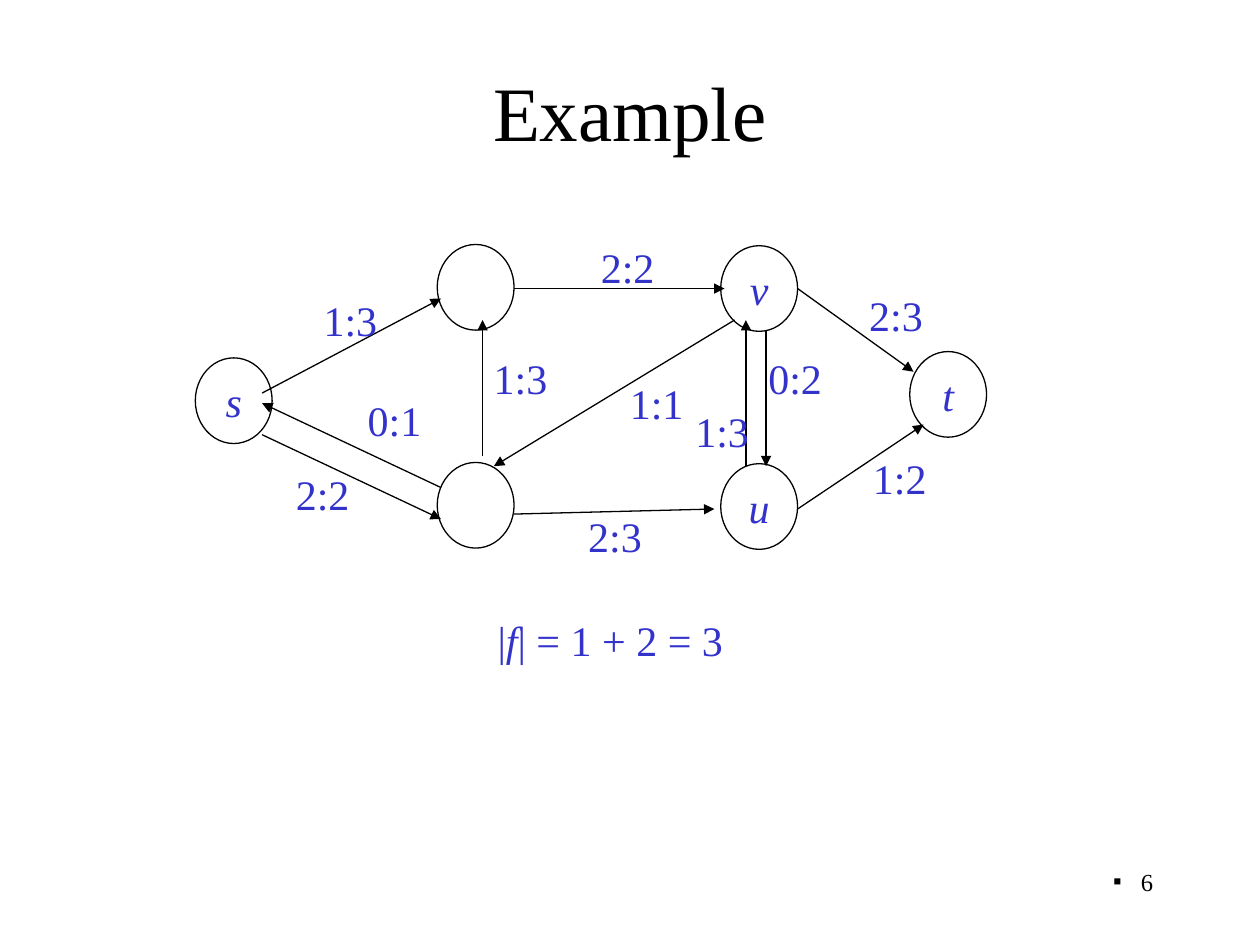
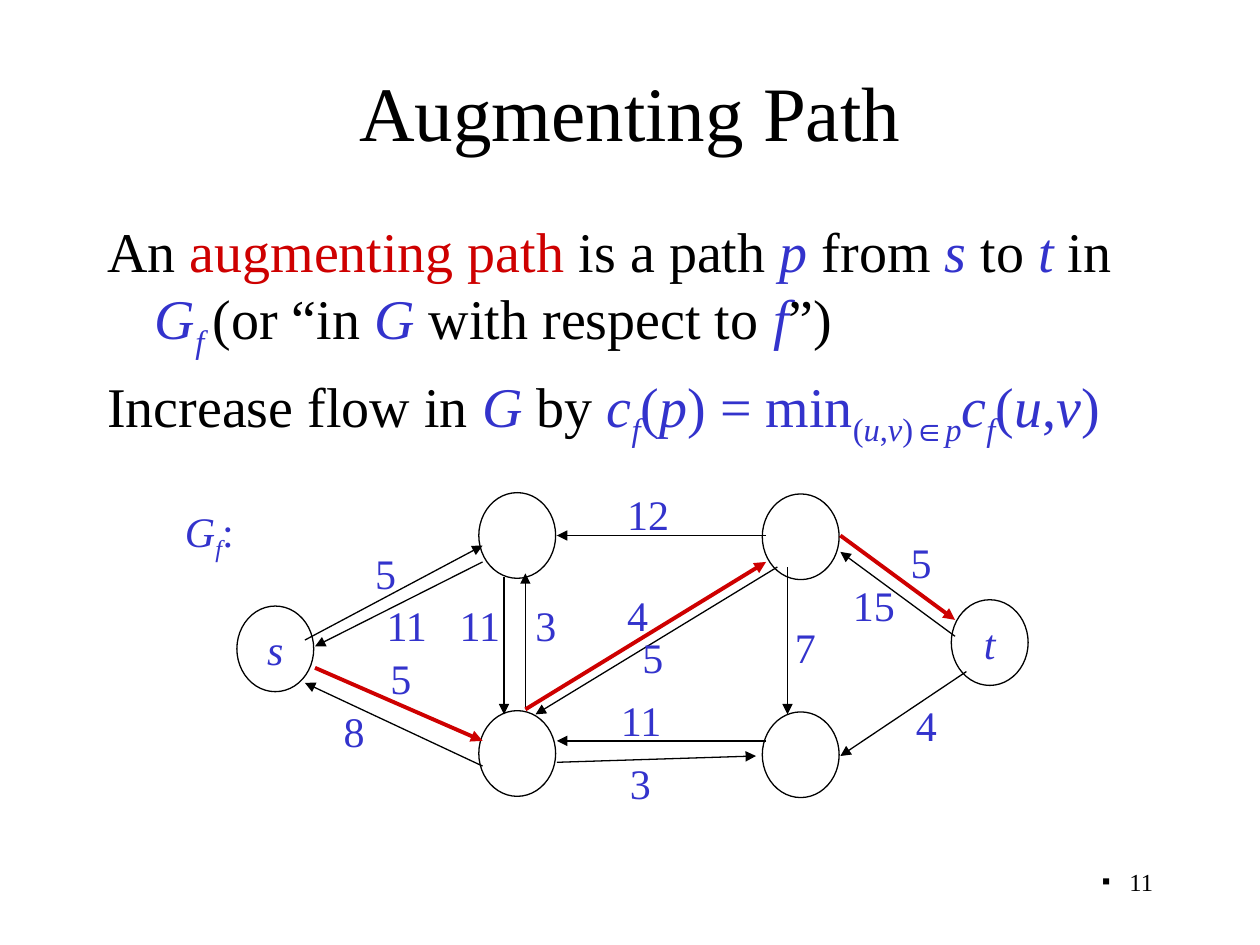
from dataclasses import dataclass

from lxml.etree import SubElement
from pptx import Presentation
from pptx.dml.color import RGBColor
from pptx.enum.shapes import MSO_CONNECTOR as CONN, MSO_SHAPE as SHAPE
from pptx.enum.text import MSO_ANCHOR as ANCHOR, MSO_AUTO_SIZE as AUTO, PP_ALIGN as ALIGN
from pptx.oxml.ns import qn
from pptx.util import Inches, Pt

FONT = "Times New Roman"
BLACK, BLUE, RED = "000000", "3333CC", "CE0000"
TITLE_ONLY, TITLE_AND_BODY = 5, 1
NODE_W, NODE_H = 0.61, 0.68
# Both slides show the same network, moved by a fixed offset.
NODE_PLACES = {
    "source": (1.55, 2.84),
    "top left": (3.47, 1.94),
    "bottom left": (3.47, 3.67),
    "top right": (5.72, 1.95),
    "bottom right": (5.72, 3.68),
    "sink": (7.22, 2.79),
}


@dataclass
class Run:
    text: str
    color: str = BLACK
    italic: bool = False
    sub: bool = False


@dataclass
class Edge:
    x1: float
    y1: float
    x2: float
    y2: float
    on_path: bool = False


@dataclass
class Label:
    x: float
    y: float
    text: str


def var(text: str, sub: bool = False) -> Run:
    """A variable, in blue italics."""
    return Run(text, BLUE, True, sub)


def sym(text: str, sub: bool = False) -> Run:
    """The upright part of a formula, in blue."""
    return Run(text, BLUE, False, sub)


def rgb(color: str) -> RGBColor:
    return RGBColor.from_string(color)


def add_text(p, text: str, *, size: float, color: str = BLACK,
             italic: bool = False, sub: bool = False) -> None:
    r = p.add_run()
    r.text = text
    r.font.name, r.font.size = FONT, Pt(size)
    r.font.color.rgb = rgb(color)
    r.font.italic = italic
    if sub:
        r.font._element.set("baseline", "-25000")


def add_runs(p, runs: list[Run], size: float) -> None:
    for run in runs:
        add_text(p, run.text, size=size, color=run.color, italic=run.italic, sub=run.sub)


def set_bullet(p, left: float, hanging: float, char: str = "") -> None:
    """Set the indents, and the bullet character if there is one."""
    pPr = p._p.get_or_add_pPr()
    pPr.set("marL", str(Inches(left)))
    pPr.set("indent", str(Inches(-hanging)))
    if char:
        SubElement(pPr, qn("a:buFont"), typeface=FONT)
        SubElement(pPr, qn("a:buChar"), char=char)
    else:
        SubElement(pPr, qn("a:buNone"))


def place(sp, x: float, y: float, w: float, h: float) -> None:
    sp.left, sp.top, sp.width, sp.height = (Inches(v) for v in (x, y, w, h))


def add_box(s, x: float, y: float, w: float, wrap: bool = False):
    """Add a text box one line high and return its paragraph."""
    tf = s.shapes.add_textbox(Inches(x), Inches(y), Inches(w), Inches(0.5)).text_frame
    tf.word_wrap = wrap
    return tf.paragraphs[0]


def new_slide(prs, layout: int, title: str, number: int):
    s = prs.slides.add_slide(prs.slide_layouts[layout])
    place(s.shapes.title, 0.75, 0.25, 8.5, 1.25)
    tf = s.shapes.title.text_frame
    tf.vertical_anchor = ANCHOR.MIDDLE
    tf.paragraphs[0].alignment = ALIGN.CENTER
    add_text(tf.paragraphs[0], title, size=44)

    p = add_box(s, 7.17, 6.83, 2.08, wrap=True)
    p.alignment = ALIGN.RIGHT
    set_bullet(p, 0.22, 0.22, "▪")
    add_text(p, str(number), size=14)
    return s


def add_body(s, paragraphs: list[list[Run]]) -> None:
    body = s.placeholders[1]
    place(body, 0.75, 1.67, 8.5, 5)
    tf = body.text_frame
    tf.auto_size = AUTO.NONE
    for i, runs in enumerate(paragraphs):
        p = tf.paragraphs[0] if i == 0 else tf.add_paragraph()
        set_bullet(p, 0.38, 0.38)
        add_runs(p, runs, 32)


def add_nodes(s, names: dict[str, str], dx: float = 0, dy: float = 0) -> None:
    for key, (x, y) in NODE_PLACES.items():
        sp = s.shapes.add_shape(SHAPE.OVAL, Inches(x + dx), Inches(y + dy),
                                Inches(NODE_W), Inches(NODE_H))
        sp.shadow.inherit = False
        sp.fill.background()
        sp.line.color.rgb, sp.line.width = rgb(BLACK), Pt(0.75)
        if key in names:
            tf = sp.text_frame
            tf.word_wrap = False
            tf.vertical_anchor = ANCHOR.MIDDLE
            tf.paragraphs[0].alignment = ALIGN.CENTER
            add_runs(tf.paragraphs[0], [var(names[key])], 24)


def add_edge(s, e: Edge) -> None:
    c = s.shapes.add_connector(CONN.STRAIGHT, Inches(e.x1), Inches(e.y1),
                               Inches(e.x2), Inches(e.y2))
    c.line.color.rgb = rgb(RED if e.on_path else BLACK)
    c.line.width = Pt(2.25 if e.on_path else 0.75)
    spPr = c.element.spPr
    SubElement(spPr.find(qn("a:ln")), qn("a:tailEnd"), type="triangle")
    SubElement(spPr, qn("a:effectLst"))


def add_label(s, label: Label) -> None:
    width = 0.2 + sum(0.09 if ch == ":" else 0.17 for ch in label.text)
    add_runs(add_box(s, label.x, label.y, width), [sym(label.text)], 24)


def add_edges(s, edges: list[Edge], labels: list[Label]) -> None:
    for edge in edges:
        add_edge(s, edge)
    for label in labels:
        add_label(s, label)


def build_example(prs) -> None:
    s = new_slide(prs, TITLE_ONLY, "Example", 6)
    add_nodes(s, {"source": "s", "top right": "v", "bottom right": "u", "sink": "t"})
    edges = [
        Edge(2.08, 3.12, 3.5, 2.37),
        Edge(2.08, 3.45, 3.5, 4.12),
        Edge(3.5, 3.87, 2.08, 3.2),
        Edge(4.08, 4.08, 5.67, 4.04),
        Edge(6.33, 4.04, 7.33, 3.37),
        Edge(4.08, 2.29, 5.75, 2.29),
        Edge(6.33, 2.29, 7.25, 2.95),
        Edge(3.83, 3.62, 3.83, 2.54),
        Edge(5.83, 2.54, 3.92, 3.7),
        Edge(5.92, 3.7, 5.92, 2.54),
        Edge(6.08, 2.62, 6.08, 3.7),
    ]
    flows = [
        Label(2.47, 2.29, "1:3"),
        Label(2.82, 3.08, "0:1"),
        Label(2.25, 3.67, "2:2"),
        Label(3.82, 2.75, "1:3"),
        Label(4.9, 2.95, "1:1"),
        Label(4.67, 1.87, "2:2"),
        Label(5.42, 3.17, "1:3"),
        Label(6, 2.75, "0:2"),
        Label(6.8, 2.25, "2:3"),
        Label(6.83, 3.54, "1:2"),
        Label(4.57, 4, "2:3"),
    ]
    add_edges(s, edges, flows)
    add_runs(add_box(s, 3.85, 4.83, 1.99), [sym("|"), var("f"), sym("| = 1 + 2 = 3")], 24)


def build_augmenting_path(prs) -> None:
    s = new_slide(prs, TITLE_AND_BODY, "Augmenting Path", 11)
    add_body(s, [
        [Run("An "), Run("augmenting path", RED), Run(" is a path "), var("p"),
         Run(" from "), var("s"), Run(" to "), var("t"), Run(" in "),
         var("G"), var("f ", sub=True), Run("(or “in "), var("G"),
         Run(" with respect to "), var("f"), Run("”)")],
        [Run("Increase flow in "), var("G"), Run(" by "),
         var("c"), var("f", sub=True), sym("("), var("p"), sym(") = min"),
         sym("(", sub=True), var("u", sub=True), sym(",", sub=True),
         var("v", sub=True), sym(")∈", sub=True), var("p", sub=True),
         var("c"), var("f", sub=True), sym("("), var("u"), sym(","), var("v"), sym(")")],
    ])
    add_nodes(s, {"source": "s", "sink": "t"}, dx=0.33, dy=1.97)
    edges = [
        Edge(2.42, 5.08, 3.83, 4.33),
        Edge(3.83, 6.08, 2.42, 5.42),
        Edge(4.42, 6.05, 6, 6),
        Edge(7.67, 5.33, 6.67, 6),
        Edge(6.08, 4.25, 4.42, 4.25),
        Edge(6.67, 4.25, 7.58, 4.92, on_path=True),
        Edge(4.17, 5.63, 4.17, 4.55),
        Edge(6.17, 4.5, 4.25, 5.67),
        Edge(6.25, 4.5, 6.25, 5.67),
        Edge(4, 4.58, 4, 5.67),
        Edge(6.08, 5.88, 4.42, 5.88),
        Edge(7.58, 5.05, 6.67, 4.38),
        Edge(4.17, 5.63, 6.08, 4.46, on_path=True),
        Edge(3.83, 4.46, 2.5, 5.13),
        Edge(2.5, 5.3, 3.83, 5.88, on_path=True),
    ]
    capacities = [
        Label(2.88, 4.3, "5"),
        Label(3.55, 4.71, "11"),
        Label(2.63, 5.55, "8"),
        Label(4.15, 4.71, "3"),
        Label(5, 4.96, "5"),
        Label(4.88, 3.83, "12"),
        Label(6.21, 4.88, "7"),
        Label(7.13, 4.21, "5"),
        Label(7.17, 5.5, "4"),
        Label(4.9, 5.96, "3"),
        Label(4.83, 5.46, "11"),
        Label(6.67, 4.55, "15"),
        Label(4.88, 4.63, "4"),
        Label(2.97, 4.71, "11"),
        Label(3, 5.13, "5"),
    ]
    add_edges(s, edges, capacities)
    add_runs(add_box(s, 1.37, 3.96, 0.6), [var("G"), var("f", sub=True), sym(":")], 24)


def main() -> None:
    prs = Presentation()
    prs.slide_width, prs.slide_height = Inches(10), Inches(7.5)
    build_example(prs)
    build_augmenting_path(prs)
    prs.save("out.pptx")


if __name__ == "__main__":
    main()
